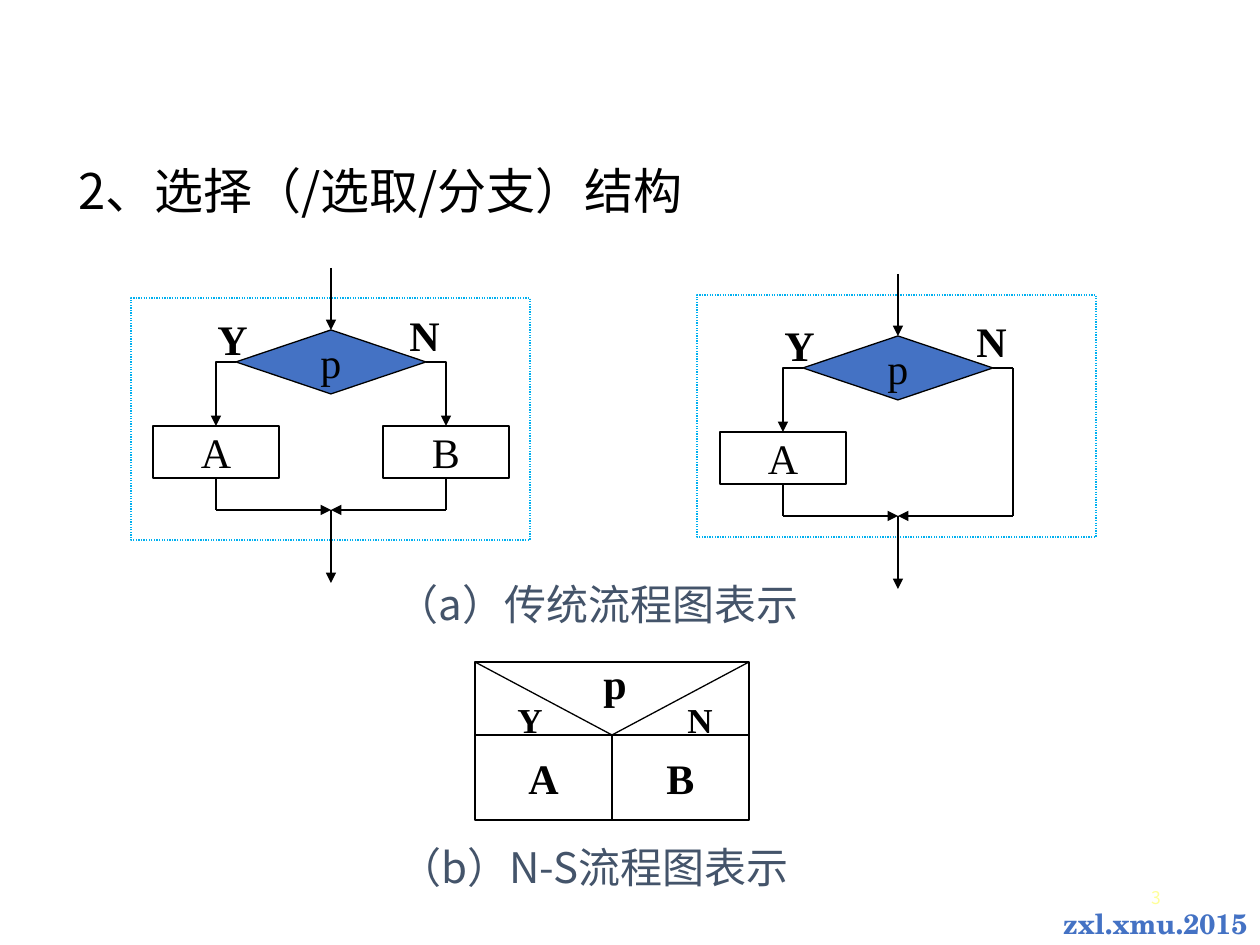
from lxml import etree
from pptx import Presentation
from pptx.dml.color import RGBColor
from pptx.enum.dml import MSO_LINE
from pptx.enum.shapes import MSO_CONNECTOR, MSO_SHAPE
from pptx.enum.text import MSO_ANCHOR, MSO_AUTO_SIZE, PP_ALIGN
from pptx.oxml.ns import qn
from pptx.util import Emu, Pt

STRAIGHT, ELBOW = MSO_CONNECTOR.STRAIGHT, MSO_CONNECTOR.ELBOW
RECTANGLE, DIAMOND = MSO_SHAPE.RECTANGLE, MSO_SHAPE.DIAMOND
LEFT, CENTER, RIGHT = PP_ALIGN.LEFT, PP_ALIGN.CENTER, PP_ALIGN.RIGHT
TOP_SIDE, LEFT_SIDE, BOTTOM_SIDE, RIGHT_SIDE = range(4)
EMU_PER_PX = 914400 / 126
CJK, SERIF, SCHOLA = "Noto Sans CJK SC", "Times New Roman", "TeX Gyre Schola"
COLORS = {
    "ink": "000000",
    "blue": "4472C4",
    "frame": "00B0F0",
    "caption": "44546A",
    "number": "FFFF99",
}


def px(length):
    """Turn pixels into EMU."""
    return Emu(round(length * EMU_PER_PX))


def rgb(name):
    """Look up a named colour."""
    return RGBColor.from_string(COLORS[name])


def format_text(frame, size, font, color="ink", bold=False, align=LEFT):
    """Format every run of a text frame."""
    for paragraph in frame.paragraphs:
        paragraph.alignment = align
        for run in paragraph.runs:
            run.font.size = Pt(size)
            run.font.name = font
            run.font.bold = bold
            run.font.color.rgb = rgb(color)
            east_asian = etree.Element(qn("a:ea"), typeface=font)
            run.font._element.find(qn("a:latin")).addnext(east_asian)


def add_label(shapes, text, box, size=24, font=SERIF, color="ink", bold=True,
              align=LEFT, wrap=False):
    """Add a text box that grows with its text."""
    label = shapes.add_textbox(*map(px, box))
    frame = label.text_frame
    frame.text = text
    frame.word_wrap = wrap
    frame.auto_size = MSO_AUTO_SIZE.SHAPE_TO_FIT_TEXT
    format_text(frame, size, font, color, bold, align)


def add_block(shapes, kind, box, text="", fill=None, line="ink", bold=False):
    """Add an outlined shape with centred text."""
    block = shapes.add_shape(kind, *map(px, box))
    block.shadow.inherit = False
    if fill:
        block.fill.solid()
        block.fill.fore_color.rgb = rgb(fill)
    else:
        block.fill.background()
    block.line.color.rgb = rgb(line)
    block.line.width = Pt(0.75)
    if text:
        frame = block.text_frame
        frame.text = text
        frame.word_wrap = False
        frame.vertical_anchor = MSO_ANCHOR.MIDDLE
        format_text(frame, 24, SERIF, bold=bold, align=CENTER)
    return block


def add_line(shapes, start, end, arrow=False, kind=STRAIGHT, begin=None, finish=None):
    """Add a connector, joined to (shape, side) pairs where given."""
    line = shapes.add_connector(kind, *map(px, start + end))
    line.line.color.rgb = rgb("ink")
    line.line.width = Pt(0.75)
    properties = line._element.spPr
    if kind == ELBOW:
        properties.find(qn("a:prstGeom")).set("prst", "bentConnector2")
    if arrow:
        etree.SubElement(line.get_or_add_ln(), qn("a:tailEnd"), type="triangle")
    etree.SubElement(properties, qn("a:effectLst"))
    if begin:
        line.begin_connect(*begin)
    if finish:
        line.end_connect(*finish)


def add_heading(slide, text, box):
    """Place and format the title placeholder."""
    heading = slide.shapes.title
    heading.left, heading.top, heading.width, heading.height = map(px, box)
    frame = heading.text_frame
    frame.text = text
    frame.word_wrap = True
    frame.vertical_anchor = MSO_ANCHOR.TOP
    paragraph = frame.paragraphs[0]
    paragraph.line_spacing = 0.9
    paragraph._p.get_or_add_pPr().set("marL", str(px(11)))
    format_text(frame, 28, CJK)


def add_flowchart(slide, left, top, has_else):
    """Draw a decision with one or two branches from its top-left corner."""
    shapes = slide.shapes.add_group_shape().shapes
    center, reach = left + 178, 115
    yes_x, no_x = center - reach, center + reach
    decision_top, decision_y = top + 62, top + 94
    branch_top, branch_bottom, join_y = top + 158, top + 210, top + 242
    join = (center, join_y)

    decision = add_block(shapes, DIAMOND, (center - 95, decision_top, 190, 64), "p", "blue")
    branches = [(yes_x, "A", LEFT_SIDE, center - 95)]
    if has_else:
        branches.append((no_x, "B", RIGHT_SIDE, center + 95))
    for x, name, side, tip_x in branches:
        block = add_block(shapes, RECTANGLE, (x - 63, branch_top, 126, 52), name)
        add_line(shapes, (tip_x, decision_y), (x, branch_top), True, ELBOW,
                 (decision, side), (block, TOP_SIDE))
        add_line(shapes, (x, branch_bottom), (x, join_y), begin=(block, BOTTOM_SIDE))
    if not has_else:
        add_line(shapes, (center + 95, decision_y), (no_x, decision_y),
                 begin=(decision, RIGHT_SIDE))
        add_line(shapes, (no_x, decision_y), (no_x, join_y))
    for x in (yes_x, no_x):
        add_line(shapes, (x, join_y), join, True)
    add_line(shapes, join, (center, top + 315), True)
    add_line(shapes, (center, top), (center, decision_top), True,
             finish=(decision, TOP_SIDE))
    add_label(shapes, "Y", (left + 52, top + 39, 55, 63))
    add_label(shapes, "N", (left + 244, top + 35, 55, 63))


def add_ns_diagram(slide, left, top, width, height):
    """Draw the N-S diagram of a selection inside the given box."""
    shapes = slide.shapes.add_group_shape().shapes
    half, condition_height = width // 2, 73
    split_y = top + condition_height
    condition = add_block(shapes, RECTANGLE, (left, top, width, condition_height))
    for column, name in enumerate("AB"):
        box = (left + column * half, split_y, half, height - condition_height)
        add_block(shapes, RECTANGLE, box, name, bold=True)
    for corner_x in (left, left + width):
        add_line(shapes, (corner_x, top), (left + half, split_y),
                 finish=(condition, BOTTOM_SIDE))
    add_label(shapes, "Y", (left + 30, top + 30, 50, 54), 20)
    add_label(shapes, "N", (left + 200, top + 30, 50, 54), 20)
    add_label(shapes, "p", (left + 116, top - 11, 49, 63))


def add_footer(slide, left, top):
    """Add the slide number and the course mark."""
    add_label(slide.shapes, "3", (left + 84, top - 19, 60, 38), 10, CJK, "number",
              False, CENTER)
    add_label(slide.shapes, "zxl.xmu.2015", (left, top, 218, 47), 16, SCHOLA, "blue",
              True, RIGHT)


def main():
    """Build and save the slide."""
    presentation = Presentation()
    presentation.slide_width, presentation.slide_height = px(1260), px(945)
    slide = presentation.slides.add_slide(presentation.slide_layouts[5])
    add_heading(slide, "2、选择（/选取/分支）结构", (55, 161, 1113, 567))
    add_footer(slide, 1042, 900)
    for caption, left, top in (("（a）传统流程图表示", 384, 572),
                               ("（b）N-S流程图表示", 387, 835)):
        add_label(slide.shapes, caption, (left, top, 434, 63), 24, CJK, "caption",
                  False, wrap=True)
    for left, top in ((131, 298), (697, 295)):
        frame = add_block(slide.shapes, RECTANGLE, (left, top, 399, 242), line="frame")
        frame.line.dash_style = MSO_LINE.ROUND_DOT
    add_flowchart(slide, 153, 268, True)
    add_flowchart(slide, 720, 274, False)
    add_ns_diagram(slide, 475, 662, 274, 158)
    presentation.save("out.pptx")


if __name__ == "__main__":
    main()
